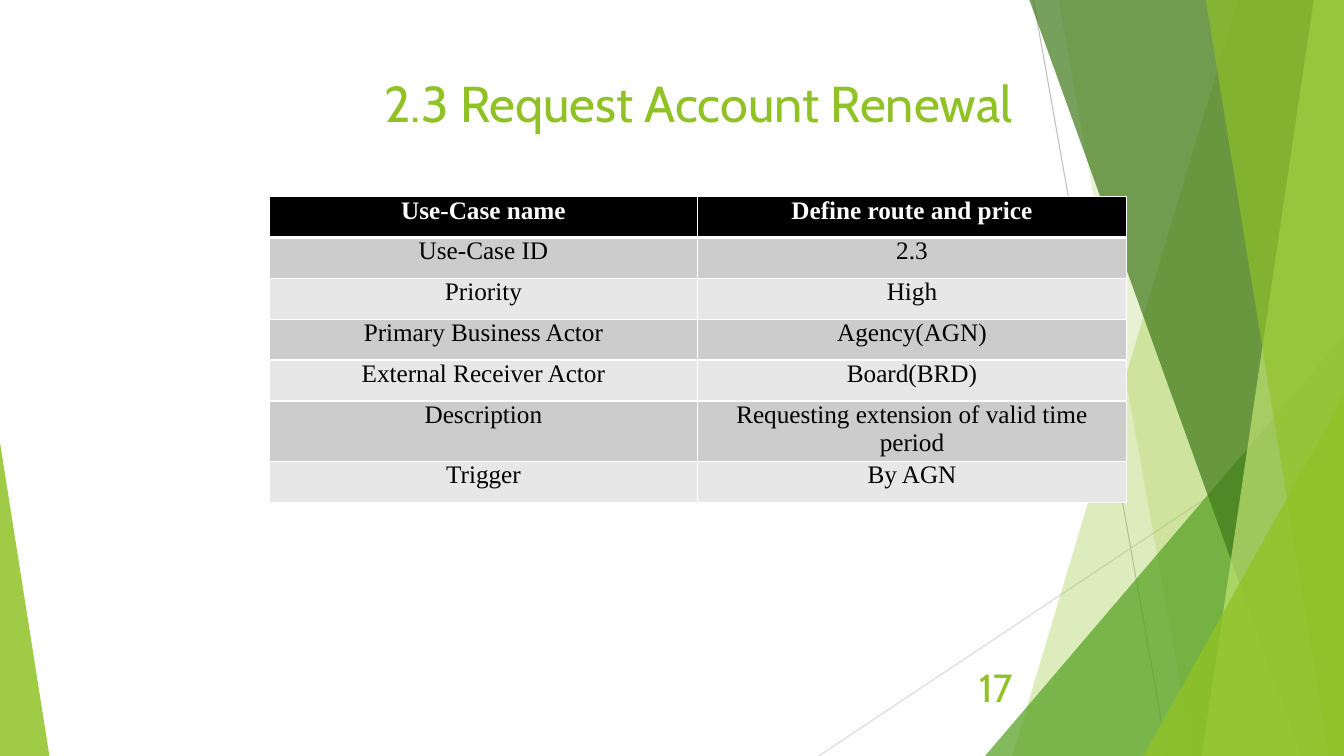
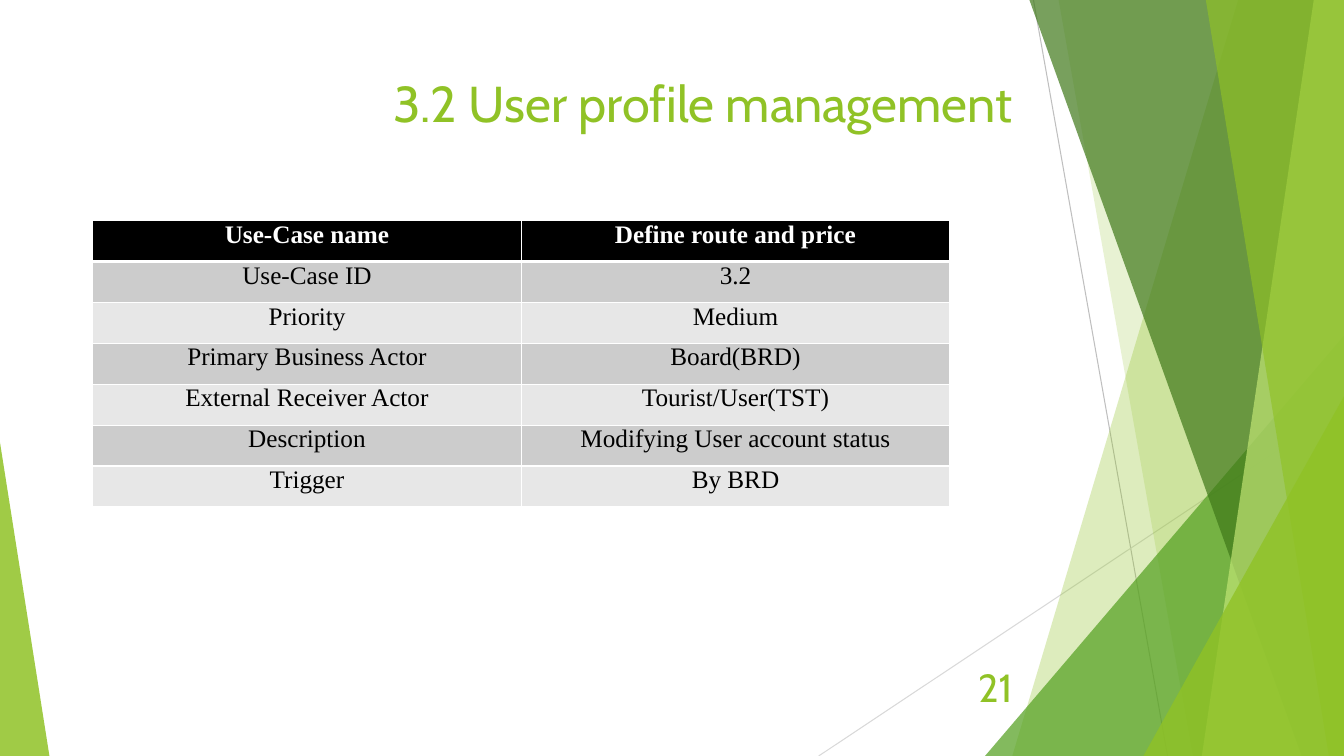
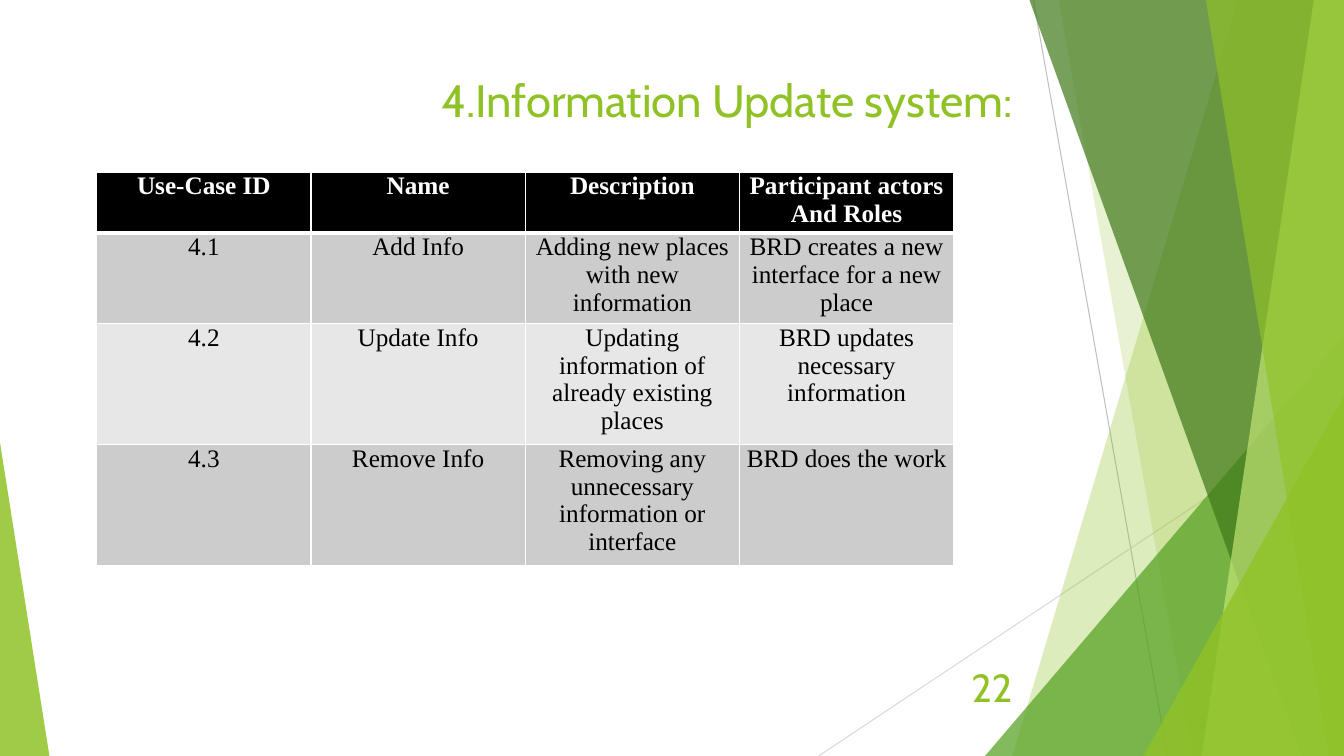
from lxml import etree
from pptx import Presentation
from pptx.dml.color import RGBColor
from pptx.enum.shapes import MSO_CONNECTOR as LINE, MSO_SHAPE as SHAPE
from pptx.enum.text import MSO_ANCHOR as ANCHOR, PP_ALIGN as ALIGN
from pptx.oxml.ns import qn
from pptx.util import Inches, Pt

WIDE, HIGH = 13.33, 7.5
ROW = 2.84 / 7
LIME, GREEN, MOSS, PALE = "90C226", "54A021", "3F7819", "C0E474"
BLACK, WHITE, DARK, LIGHT = "000000", "FFFFFF", "CCCCCC", "E7E7E7"


def color(code):
    return RGBColor.from_string(code)


class Deck:
    head_font, body_font = "Cabin", "Times New Roman"

    def __init__(self):
        self.prs = Presentation()
        self.prs.slide_width = Inches(WIDE)
        self.prs.slide_height = Inches(HIGH)
        self.slide = None

    # Slide frame: backdrop, title and number
    def page(self, title, number, size=36):
        self.slide = self.prs.slides.add_slide(self.prs.slide_layouts[6])
        self.backdrop()
        self.label(title, 0.74, 0.67, 9.4, 1.44, size)
        self.label(number, 9.39, 6.61, 0.75, 0.4, 28, ANCHOR.MIDDLE)

    def backdrop(self):
        self.line(10.25, 0, 11.58, HIGH, "BFBFBF")
        self.line(WIDE, 4.03, 8.12, HIGH, "D9D9D9")
        self.band(12.28, 10.04, LIME, 30)
        self.band(10.5, 11.83, LIME, 20)
        self.wedge(9.77, 3.33, 3.56, 1, GREEN, 72)
        self.band(10.21, 12.91, MOSS, 70)
        self.band(13.03, 11.92, PALE, 70)
        self.band(11.96, 13.18, LIME, 65)
        self.wedge(11.34, 3.93, 1.99, 1, LIME, 80)
        self.wedge(0, 4.39, 0.49, 0, LIME, 85)

    # Basic elements
    def line(self, x1, y1, x2, y2, code):
        ends = [Inches(v) for v in (x1, y1, x2, y2)]
        line = self.slide.shapes.add_connector(LINE.STRAIGHT, *ends)
        line.line.color.rgb = color(code)
        line.line.width = Pt(0.75)
        etree.SubElement(line._element.spPr, qn("a:effectLst"))

    def band(self, top, foot, code, alpha):
        """Area from a slanted left edge to the right side of the slide."""
        pen = self.slide.shapes.build_freeform(Inches(top), 0)
        rest = [(WIDE, 0), (WIDE, HIGH), (foot, HIGH)]
        pen.add_line_segments([(Inches(x), Inches(y)) for x, y in rest])
        self.paint(pen.convert_to_shape(), code, alpha)

    def wedge(self, x, y, width, apex, code, alpha):
        """Right triangle that stands on the bottom of the slide."""
        box = [Inches(v) for v in (x, y, width, HIGH - y)]
        shape = self.slide.shapes.add_shape(SHAPE.ISOSCELES_TRIANGLE, *box)
        shape.adjustments[0] = apex
        self.paint(shape, code, alpha)

    def paint(self, shape, code, alpha):
        shape.shadow.inherit = False
        shape.line.fill.background()
        shape.fill.solid()
        shape.fill.fore_color.rgb = color(code)
        tint = shape._element.spPr.find(qn("a:solidFill"))[0]
        etree.SubElement(tint, qn("a:alpha"), val=str(alpha * 1000))

    # Text
    def label(self, text, x, y, width, height, size, anchor=ANCHOR.TOP):
        box = [Inches(v) for v in (x, y, width, height)]
        frame = self.slide.shapes.add_textbox(*box).text_frame
        frame.word_wrap = True
        frame.vertical_anchor = anchor
        self.add_text(frame.paragraphs[0], text, ALIGN.RIGHT,
                      self.head_font, size, LIME)

    def add_text(self, para, text, align, name, size, code, bold=False):
        para.alignment = align
        run = para.add_run()
        run.text = text
        font = run.font
        font.name, font.size, font.bold = name, Pt(size), bold
        font.color.rgb = color(code)

    # Table
    def table(self, x, y, rows):
        frame = self.slide.shapes.add_table(
            len(rows), len(rows[0]), Inches(x), Inches(y),
            Inches(8.5), Inches(ROW * len(rows)))
        frame.table.horz_banding = False
        for i, row in enumerate(rows):
            for j, text in enumerate(row):
                self.cell(frame.table.cell(i, j), text, i)

    def cell(self, cell, text, row):
        head = row == 0
        cell.margin_left = cell.margin_right = Inches(0.07)
        cell.margin_top = cell.margin_bottom = 0
        cell.fill.solid()
        fill = BLACK if head else DARK if row % 2 else LIGHT
        cell.fill.fore_color.rgb = color(fill)
        frame = cell.text_frame
        for k, part in enumerate(text.split("\n")):
            para = frame.add_paragraph() if k else frame.paragraphs[0]
            self.add_text(para, part, ALIGN.CENTER, self.body_font, 18,
                          WHITE if head else BLACK, head)
        self.edges(cell, top=3 if row == 1 else 1, foot=3 if head else 1)

    def edges(self, cell, top, foot):
        props = cell._tc.get_or_add_tcPr()
        sides = {"L": 1, "R": 1, "T": top, "B": foot}
        for k, (side, width) in enumerate(sides.items()):
            edge = etree.Element(qn("a:ln" + side), w=str(Pt(width)))
            fill = etree.SubElement(edge, qn("a:solidFill"))
            etree.SubElement(fill, qn("a:srgbClr"), val=WHITE)
            props.insert(k, edge)

    def case(self, x, y, *values):
        """Use-case table: fixed field names beside the given values."""
        names = ["Use-Case name", "Use-Case ID", "Priority",
                 "Primary Business Actor", "External Receiver Actor",
                 "Description", "Trigger"]
        self.table(x, y, list(zip(names, values)))


def main():
    deck = Deck()

    # Account renewal
    deck.page("2.3 Request Account Renewal", "17")
    deck.case(2.67, 1.95, "Define route and price", "2.3", "High",
              "Agency(AGN)", "Board(BRD)",
              "Requesting extension of valid time period", "By AGN")

    # User profiles
    deck.page("3.2 User profile management", "21")
    deck.case(0.92, 2.19, "Define route and price", "3.2", "Medium",
              "Board(BRD)", "Tourist/User(TST)",
              "Modifying User account status", "By BRD")

    # Information updates
    deck.page("4.Information Update system:", "22", 32.4)
    deck.table(0.96, 1.71, [
        ("Use-Case ID", "Name", "Description",
         "Participant actors\nAnd Roles"),
        ("4.1", "Add Info", "Adding new places with new information",
         "BRD creates a new interface for a new place"),
        ("4.2", "Update Info",
         "Updating information of already existing places",
         "BRD updates necessary information"),
        ("4.3", "Remove Info",
         "Removing any unnecessary information or interface",
         "BRD does the work"),
    ])

    deck.prs.save("out.pptx")


if __name__ == "__main__":
    main()
